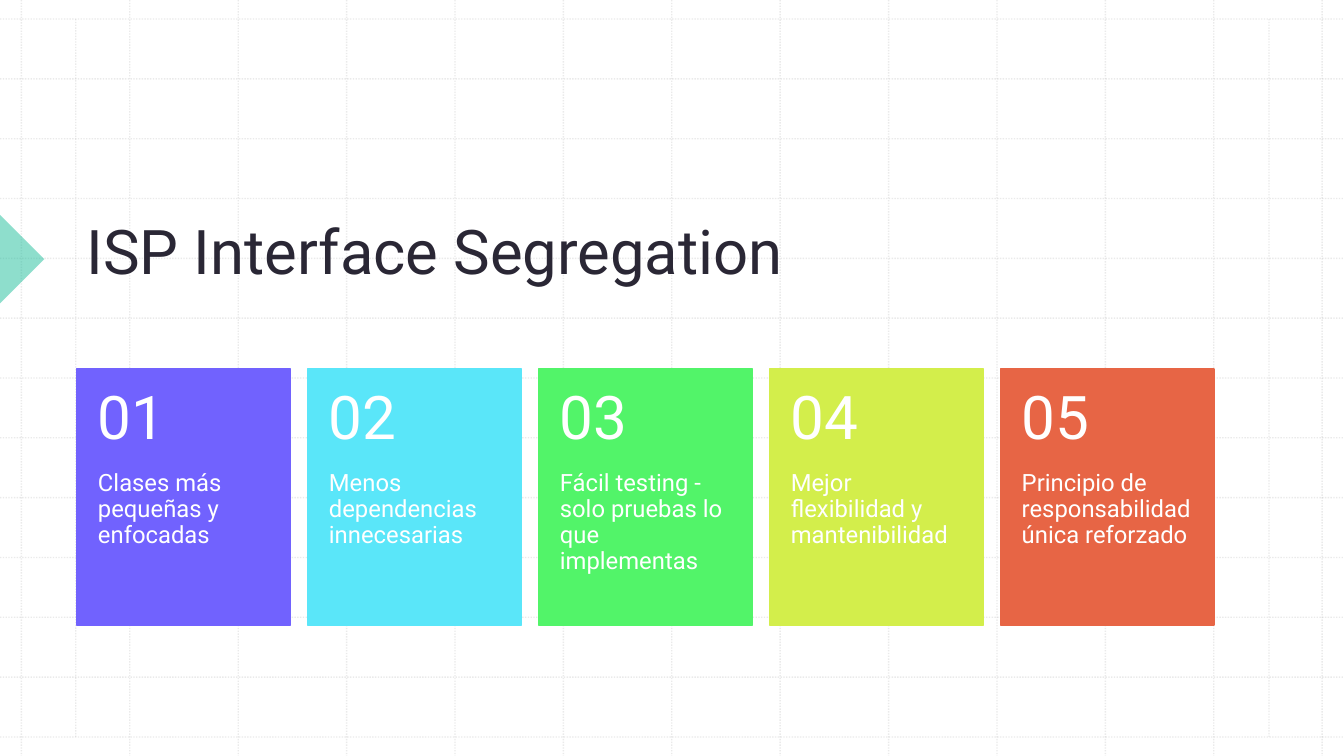
from lxml import etree
from pptx import Presentation
from pptx import util as u
from pptx.dml.color import RGBColor
from pptx.enum import dml, shapes, text
from pptx.oxml.ns import qn

WHITE = RGBColor(0xFF, 0xFF, 0xFF)
INK = RGBColor(0x2A, 0x27, 0x35)
GRID_GREY = RGBColor(0xBC, 0xBC, 0xBC)
TEAL = RGBColor(0x1E, 0xBE, 0x9B)
VIOLET = RGBColor(0x71, 0x62, 0xFE)
CYAN = RGBColor(0x5A, 0xE6, 0xF9)
GREEN = RGBColor(0x52, 0xF4, 0x69)
LIME = RGBColor(0xD3, 0xEE, 0x4B)
ORANGE = RGBColor(0xE7, 0x65, 0x45)

FONT = "Roboto"
SLIDE_W, SLIDE_H = 33.87, 19.05

GRID_LEFT, GRID_RIGHT = 0.54, 33.32
GRID_TOP, GRID_BOTTOM = 0.48, 18.57
GRID_STEPS = 12
MARGIN_LINES = (1.91, 31.98)

CARD_LEFT, CARD_TOP = 1.93, 9.3
CARD_W, CARD_H = 5.39, 6.45
CARD_PITCH = 5.82
NUMBER_H = 2.58

BENEFITS = [
    ("Clases más pequeñas y enfocadas", VIOLET),
    ("Menos dependencias innecesarias", CYAN),
    ("Fácil testing - solo pruebas lo que implementas", GREEN),
    ("Mejor flexibilidad y mantenibilidad", LIME),
    ("Principio de responsabilidad única reforzado", ORANGE),
]

TITLE_FRAME = {"vertical_anchor": text.MSO_ANCHOR.BOTTOM}
NUMBER_FRAME = {
    "vertical_anchor": text.MSO_ANCHOR.MIDDLE,
    "margin_left": u.Cm(0.54), "margin_right": u.Cm(0.54),
    "margin_top": u.Cm(0.46), "margin_bottom": u.Cm(0.46),
}
BENEFIT_FRAME = {
    "vertical_anchor": text.MSO_ANCHOR.TOP,
    "margin_left": u.Cm(0.54), "margin_right": u.Cm(0.54),
    "margin_top": 0, "margin_bottom": u.Cm(0.91),
}


def set_all(target, values):
    for name, value in values.items():
        setattr(target, name, value)


def set_opacity(fill_owner, percent):
    """Add an alpha value to the colour inside a shape's fill or line element."""
    colour = fill_owner.find(qn("a:solidFill")).find(qn("a:srgbClr"))
    etree.SubElement(colour, qn("a:alpha"), val=str(percent * 1000))


def add_grid_line(slide, x1, y1, x2, y2):
    rule = slide.shapes.add_connector(
        shapes.MSO_CONNECTOR.STRAIGHT, u.Cm(x1), u.Cm(y1), u.Cm(x2), u.Cm(y2))
    rule.line.color.rgb = GRID_GREY
    set_all(rule.line, {"width": u.Pt(1),
                        "dash_style": dml.MSO_LINE.ROUND_DOT})
    properties = rule._element.spPr
    set_opacity(properties.find(qn("a:ln")), 30)
    etree.SubElement(properties, qn("a:effectLst"))


def add_grid(slide):
    column_step = (GRID_RIGHT - GRID_LEFT) / GRID_STEPS
    row_step = (GRID_BOTTOM - GRID_TOP) / GRID_STEPS
    for step in range(GRID_STEPS + 1):
        x = GRID_LEFT + step * column_step
        y = GRID_TOP + step * row_step
        add_grid_line(slide, x, 0, x, SLIDE_H)
        add_grid_line(slide, 0, y, SLIDE_W, y)
    for x in MARGIN_LINES:
        add_grid_line(slide, x, GRID_TOP, x, GRID_BOTTOM)


def add_block(slide, kind, left, top, width, height, colour):
    block = slide.shapes.add_shape(
        kind, u.Cm(left), u.Cm(top), u.Cm(width), u.Cm(height))
    block.shadow.inherit = False
    block.fill.solid()
    block.fill.fore_color.rgb = colour
    block.line.fill.background()
    return block


def add_text(slide, words, left, top, width, height, size, colour, frame_format):
    box = slide.shapes.add_textbox(
        u.Cm(left), u.Cm(top), u.Cm(width), u.Cm(height))
    set_all(box.text_frame, {"word_wrap": True, **frame_format})
    paragraph = box.text_frame.paragraphs[0]
    paragraph.line_spacing = 0.9
    run = paragraph.add_run()
    run.text = words
    set_all(run.font, {"name": FONT, "size": u.Pt(size)})
    run.font.color.rgb = colour


def add_pointer(slide):
    """Half-transparent arrow tip at the left edge, beside the title."""
    pointer = add_block(slide, shapes.MSO_SHAPE.RIGHT_TRIANGLE,
                        -0.79, 5.74, 1.58, 1.58, TEAL)
    pointer.rotation = 225
    set_opacity(pointer._element.spPr, 50)


def add_card(slide, index, benefit, colour):
    left = CARD_LEFT + index * CARD_PITCH
    card = add_block(slide, shapes.MSO_SHAPE.RECTANGLE,
                     left, CARD_TOP, CARD_W, CARD_H, colour)
    card.line.color.rgb = colour
    card.line.width = u.Pt(1)
    add_text(slide, benefit, left, CARD_TOP + NUMBER_H, CARD_W,
             CARD_H - NUMBER_H, 17, WHITE, BENEFIT_FRAME)
    add_text(slide, f"{index + 1:02}", left, CARD_TOP, CARD_W,
             NUMBER_H, 43, WHITE, NUMBER_FRAME)


def main():
    deck = Presentation()
    set_all(deck, {"slide_width": u.Cm(SLIDE_W), "slide_height": u.Cm(SLIDE_H)})
    slide = deck.slides.add_slide(deck.slide_layouts[6])
    slide.background.fill.solid()
    slide.background.fill.fore_color.rgb = WHITE

    add_grid(slide)
    add_pointer(slide)
    add_text(slide, "ISP Interface Segregation", 1.93, 2.01, 28.68, 5.36,
             44, INK, TITLE_FRAME)
    for index, (benefit, colour) in enumerate(BENEFITS):
        add_card(slide, index, benefit, colour)

    deck.save("out.pptx")


if __name__ == "__main__":
    main()
